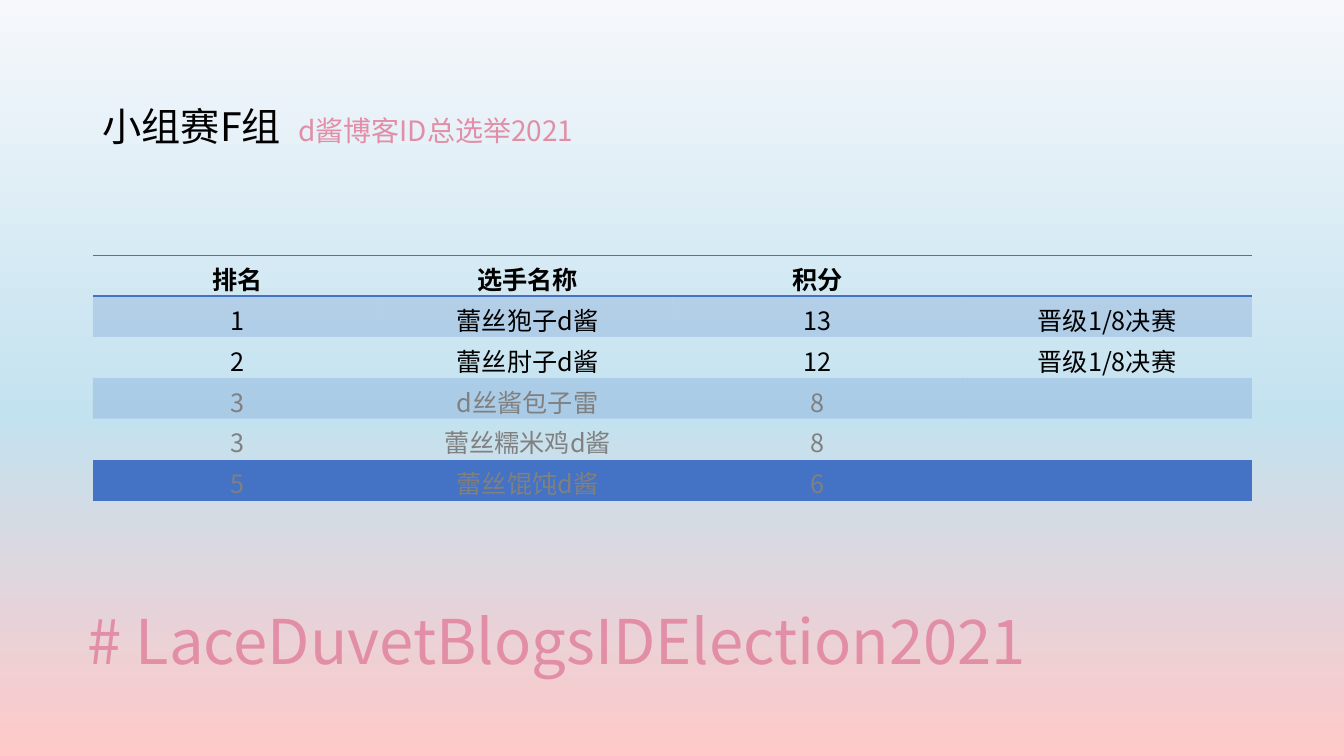
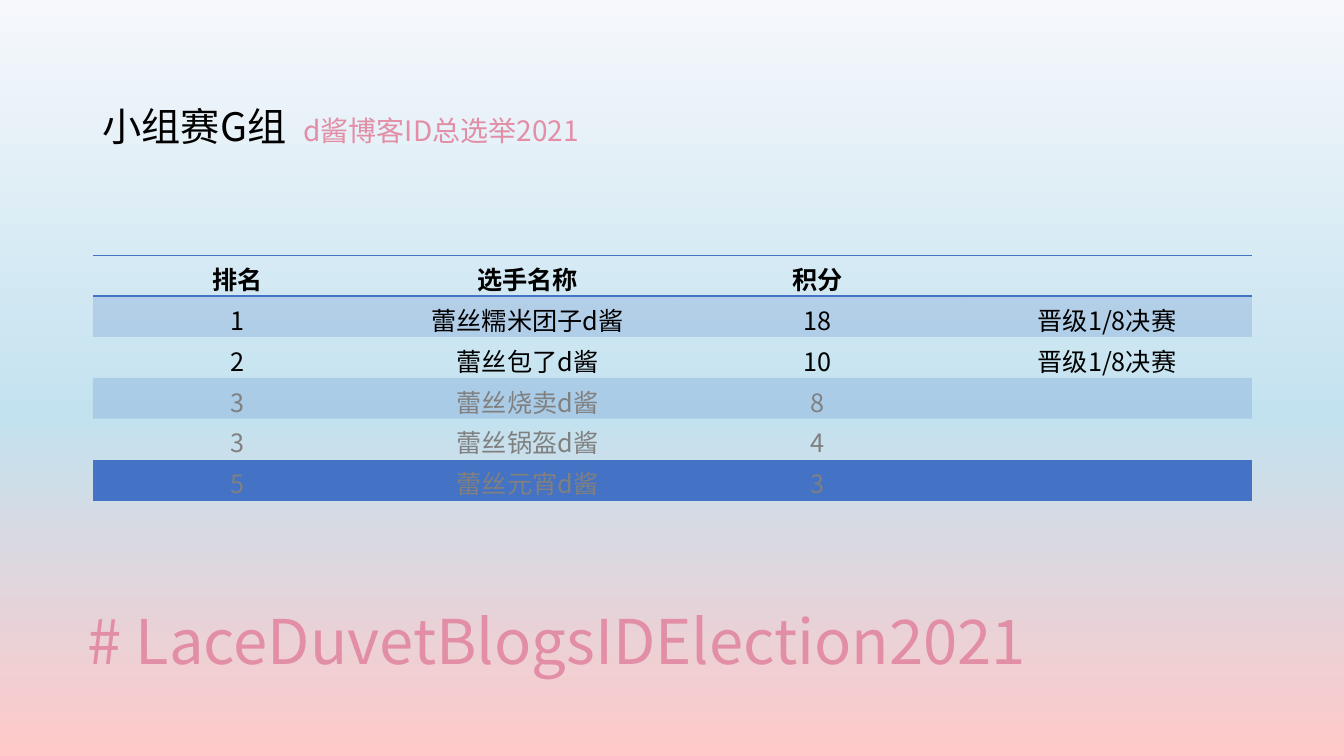
import copy
import dataclasses

import lxml.etree
import pptx
import pptx.dml.color
import pptx.enum.text
import pptx.oxml.ns
import pptx.util

Cm, Pt = pptx.util.Cm, pptx.util.Pt
qn = pptx.oxml.ns.qn
ALIGN = pptx.enum.text.PP_ALIGN

# Content
HASHTAG = "# LaceDuvetBlogsIDElection2021"
EVENT = "d酱博客ID总选举2021"
HEADER = ("排名", "选手名称", "积分", "")
ADVANCES = "晋级1/8决赛"
QUALIFIERS = 2
GROUPS = [
    ("小组赛F组", [
        ("1", "蕾丝狍子d酱", "13"),
        ("2", "蕾丝肘子d酱", "12"),
        ("3", "d丝酱包子雷", "8"),
        ("3", "蕾丝糯米鸡d酱", "8"),
        ("5", "蕾丝馄饨d酱", "6"),
    ]),
    ("小组赛G组", [
        ("1", "蕾丝糯米团子d酱", "18"),
        ("2", "蕾丝包了d酱", "10"),
        ("3", "蕾丝烧卖d酱", "8"),
        ("3", "蕾丝锅盔d酱", "4"),
        ("5", "蕾丝元宵d酱", "3"),
    ]),
]


@dataclasses.dataclass(frozen=True)
class Theme:
    font: str = "Noto Sans CJK SC"
    text: str = "000000"
    muted: str = "808080"
    pink: str = "E28EA6"
    blue: str = "4472C4"
    band_alpha: int = 20
    sky: tuple = ((0, "F6F8FC"), (0.55, "C3E2EF"), (1, "FFC9C9"))
    hashtag_pt: int = 44
    heading_pt: int = 28
    event_pt: int = 20
    cell_pt: int = 18
    gap_pt: int = 6
    rule_pt: int = 1


THEME = Theme()

# Layout
WIDTH = Cm(29.21)
LEFT = Cm(2.34)
HASHTAG_BOX = (Cm(1.96), Cm(14.4), WIDTH, Cm(3.68))
HEADING_BOX = (LEFT, Cm(2.59), WIDTH, Cm(1.37))
TABLE_TOP, ROW_HEIGHT = Cm(6.43), Cm(1.03)
NO_STYLE = "{2D5ABB26-0587-4C30-8999-92F81FD0307C}"


def rgb(color):
    return pptx.dml.color.RGBColor.from_string(color)


def add_run(p, text, size, color, bold=False):
    r = p.add_run()
    r.text = text
    r.font.size, r.font.bold, r.font.name = Pt(size), bold, THEME.font
    r.font.color.rgb = rgb(color)
    rPr = r.font._element
    lxml.etree.SubElement(rPr, qn("a:ea"), typeface=THEME.font)
    return rPr


def set_background(master):
    fill = master.background.fill
    fill.gradient()
    fill.gradient_angle = 270
    stops = master.element.xpath(".//p:bgPr//a:gsLst")[0]
    stops.append(copy.deepcopy(stops[0]))
    for stop, (position, color) in zip(fill.gradient_stops, THEME.sky):
        stop.position = position
        stop.color.rgb = rgb(color)


def add_rule(cell, side):
    ln = lxml.etree.SubElement(cell._tc.get_or_add_tcPr(), qn("a:" + side),
                               w=str(Pt(THEME.rule_pt)))
    solid = lxml.etree.SubElement(ln, qn("a:solidFill"))
    lxml.etree.SubElement(solid, qn("a:srgbClr"), val=THEME.blue)


def fill_band(cell, banded):
    if not banded:
        cell.fill.background()
        return
    cell.fill.solid()
    cell.fill.fore_color.rgb = rgb(THEME.blue)
    color = cell._tc.tcPr.find(".//" + qn("a:srgbClr"))
    lxml.etree.SubElement(color, qn("a:alpha"), val=str(THEME.band_alpha * 1000))


def add_hashtag(s):
    sp = s.shapes.title
    sp.left, sp.top, sp.width, sp.height = HASHTAG_BOX
    tf = sp.text_frame
    tf.vertical_anchor = pptx.enum.text.MSO_ANCHOR.MIDDLE
    p = tf.paragraphs[0]
    p.alignment, p.line_spacing = ALIGN.LEFT, 0.9
    add_run(p, HASHTAG, THEME.hashtag_pt, THEME.pink)


def add_heading(s, group):
    tf = s.shapes.add_textbox(*HEADING_BOX).text_frame
    tf.word_wrap = True
    p = tf.paragraphs[0]
    p.line_spacing, p.space_before = 0.9, Pt(10)
    add_run(p, group, THEME.heading_pt, THEME.text)
    gap = add_run(p, " ", THEME.heading_pt, THEME.text)
    gap.set("spc", str(THEME.gap_pt * 100))
    add_run(p, EVENT, THEME.event_pt, THEME.pink)


def add_standings(s, players):
    rows = [HEADER] + [player + (ADVANCES if i < QUALIFIERS else "",)
                       for i, player in enumerate(players)]
    table = s.shapes.add_table(len(rows), len(HEADER), LEFT, TABLE_TOP, WIDTH,
                               ROW_HEIGHT * len(rows)).table
    table._tbl.tblPr.find(qn("a:tableStyleId")).text = NO_STYLE
    for i, row in enumerate(rows):
        color = THEME.text if i <= QUALIFIERS else THEME.muted
        for j, text in enumerate(row):
            cell = table.cell(i, j)
            p = cell.text_frame.paragraphs[0]
            p.alignment = ALIGN.CENTER
            if text:
                add_run(p, text, THEME.cell_pt, color, bold=i == 0)
            else:
                p.font.size = Pt(THEME.cell_pt)
            if i == 0:
                add_rule(cell, "lnT")
            if i in (0, len(rows) - 1):
                add_rule(cell, "lnB")
            fill_band(cell, i % 2 == 1)


# Build
prs = pptx.Presentation()
prs.slide_width, prs.slide_height = Cm(33.87), Cm(19.05)
set_background(prs.slide_master)
for group, players in GROUPS:
    s = prs.slides.add_slide(prs.slide_layouts[5])
    add_hashtag(s)
    add_heading(s, group)
    add_standings(s, players)
prs.save("out.pptx")
